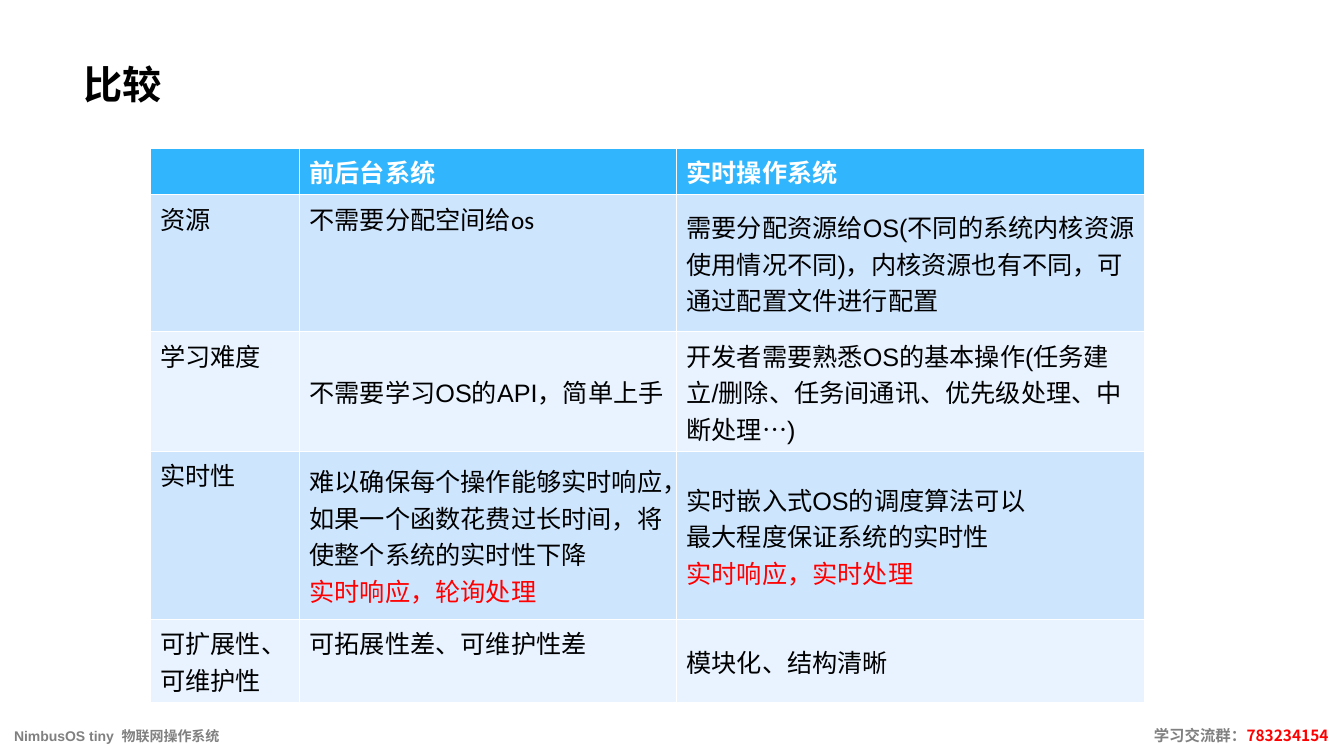
from pptx import Presentation
from pptx.dml.color import RGBColor
from pptx.enum.text import MSO_ANCHOR
from pptx.oxml.ns import qn
from pptx.util import Pt
from lxml.etree import SubElement

BLACK = RGBColor(0x00, 0x00, 0x00)
WHITE = RGBColor(0xFF, 0xFF, 0xFF)
RED = RGBColor(0xFF, 0x00, 0x00)
GREY = RGBColor(0x80, 0x80, 0x80)
HEADER_BLUE = RGBColor(0x31, 0xB6, 0xFD)
BAND_BLUES = [RGBColor(0xE8, 0xF3, 0xFF), RGBColor(0xCE, 0xE5, 0xFE)]

COLUMN_SHARES = [1.48, 3.74, 4.65]
ROW_HEIGHTS = [30.24, 97.92, 75.6, 120.24, 52.56]
COMPARISON = [
    ["", "前后台系统", "实时操作系统"],
    ["资源", "不需要分配空间给os",
     "需要分配资源给OS(不同的系统内核资源使用情况不同)，内核资源也有不同，可通过配置文件进行配置"],
    ["学习难度", "不需要学习OS的API，简单上手",
     "开发者需要熟悉OS的基本操作(任务建立/删除、任务间通讯、优先级处理、中断处理…)"],
    ["实时性", "难以确保每个操作能够实时响应，如果一个函数花费过长时间，将使整个系统的实时性下降",
     "实时嵌入式OS的调度算法可以\v最大程度保证系统的实时性"],
    ["可扩展性、可维护性", "可拓展性差、可维护性差", "模块化、结构清晰"],
]
CONCLUSIONS = {(3, 1): "实时响应，轮询处理", (3, 2): "实时响应，实时处理"}
MIDDLE_CELLS = {(1, 2), (2, 1), (2, 2), (3, 1), (3, 2), (4, 2)}


def style_font(font, size, color, bold=False, name="Arial"):
    font.name = name
    font.size = Pt(size)
    font.bold = bold
    font.color.rgb = color


def place_title(page, left, top, width, height):
    title = page.shapes.title
    title.left, title.top = Pt(left), Pt(top)
    title.width, title.height = Pt(width), Pt(height)
    frame = title.text_frame
    frame.vertical_anchor = MSO_ANCHOR.BOTTOM
    frame.text = "比较"
    para = frame.paragraphs[0]
    para.line_spacing = 0.9
    para.alignment = 1
    style_font(para.font, 28, BLACK, bold=True)


def fill_cell(cell, row, column):
    header = row == 0
    cell.fill.solid()
    cell.fill.fore_color.rgb = HEADER_BLUE if header else BAND_BLUES[row % 2]
    middle = (row, column) in MIDDLE_CELLS
    cell.vertical_anchor = MSO_ANCHOR.MIDDLE if middle else MSO_ANCHOR.TOP
    name = "Arial" if middle else "Calibri"
    para = cell.text_frame.paragraphs[0]
    para.text = COMPARISON[row][column]
    style_font(para.font, 18, WHITE if header else BLACK, header, name)
    if (row, column) in CONCLUSIONS:
        para = cell.text_frame.add_paragraph()
        para.text = CONCLUSIONS[row, column]
        style_font(para.font, 18, RED, name=name)


def place_table(page, left, top, width):
    frame = page.shapes.add_table(
        len(COMPARISON), len(COLUMN_SHARES),
        Pt(left), Pt(top), Pt(width), Pt(sum(ROW_HEIGHTS)))
    table = frame.table
    for column, share in zip(table.columns, COLUMN_SHARES):
        column.width = Pt(width * share / sum(COLUMN_SHARES))
    for row, height in zip(table.rows, ROW_HEIGHTS):
        row.height = Pt(height)
    for row in range(len(COMPARISON)):
        for column in range(len(COLUMN_SHARES)):
            fill_cell(table.cell(row, column), row, column)


def place_footer(page, left, top, width, height, inset=10):
    frame = page.shapes.add_textbox(
        Pt(left), Pt(top), Pt(width), Pt(height)).text_frame
    frame.word_wrap = True
    frame.vertical_anchor = MSO_ANCHOR.MIDDLE
    frame.margin_left = frame.margin_right = Pt(inset)
    para = frame.paragraphs[0]
    tabs = SubElement(para._p.get_or_add_pPr(), qn("a:tabLst"))
    SubElement(tabs, qn("a:tab"), pos=str(Pt(width - 2 * inset - 1)), algn="r")
    for text, size, color, name in [
        ("NimbusOS tiny  物联网操作系统\t", 10, GREY, "Arial"),
        ("学习交流群：", 11, GREY, "Arial"),
        ("783234154", 11, RED, "Noto Sans CJK KR"),
    ]:
        span = para.add_run()
        span.text = text
        style_font(span.font, size, color, True, name)


def main():
    deck = Presentation()
    deck.slide_width, deck.slide_height = Pt(960), Pt(540)
    page = deck.slides.add_slide(deck.slide_layouts[5])
    place_title(page, 52.56, 0, 854.64, 80.64)
    place_table(page, 107.28, 105.84, 710.64)
    place_footer(page, 0, 511.2, 960, 28.8)
    deck.save("out.pptx")


if __name__ == "__main__":
    main()
